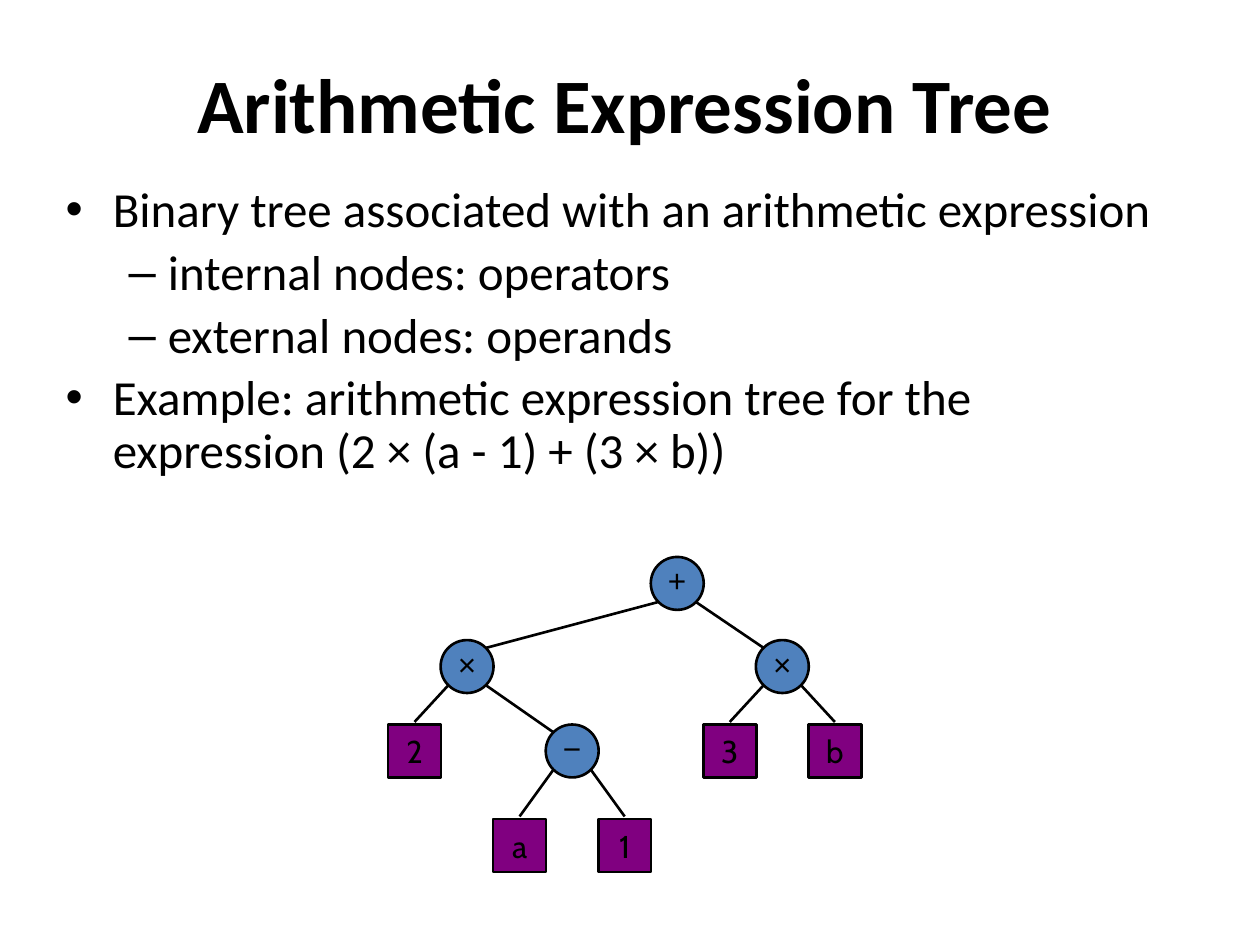
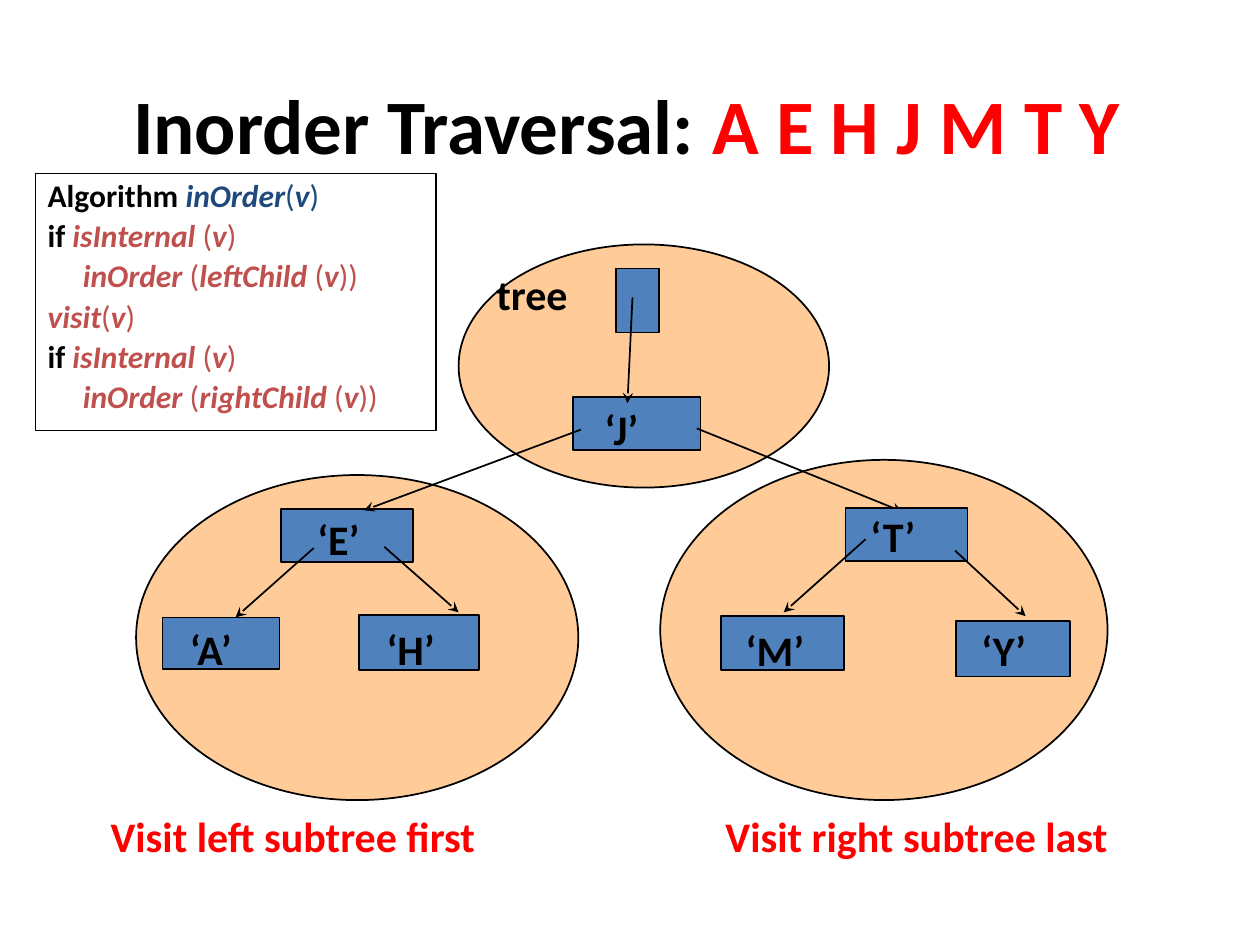
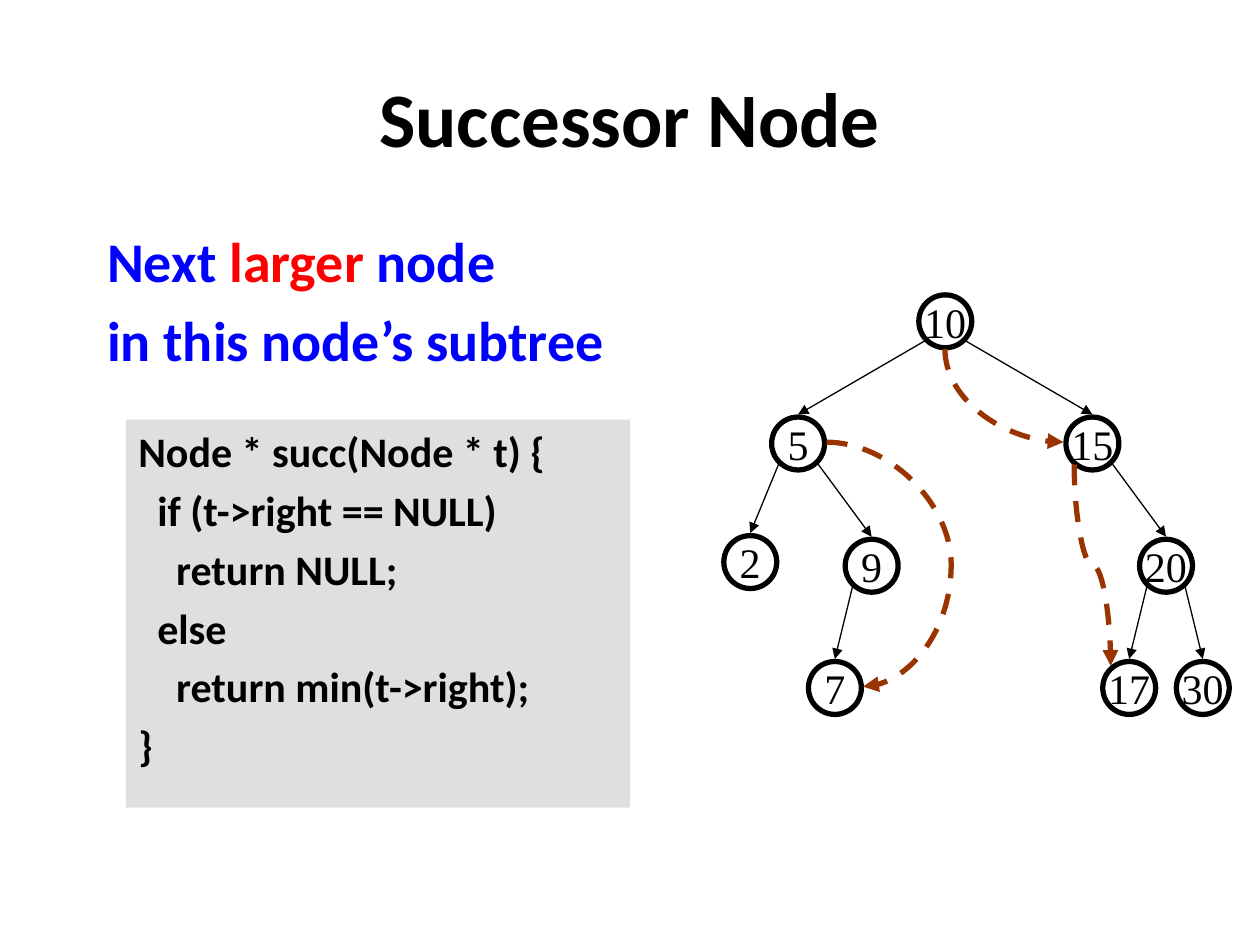
from lxml import etree
from pptx import Presentation, util as u
from pptx.dml.color import RGBColor
from pptx.enum import dml, shapes, text
from pptx.oxml.ns import qn

COLORS = {
    "black": "000000", "red": "FF0000", "blue": "0000FF", "navy": "1F497D",
    "brick": "C0504D", "steel": "4F81BD", "purple": "800080",
    "peach": "FFCC99", "silver": "C0C0C0", "rust": "993300",
}
RECT, OVAL = shapes.MSO_SHAPE.RECTANGLE, shapes.MSO_SHAPE.OVAL
STRAIGHT, CURVE = shapes.MSO_CONNECTOR.STRAIGHT, shapes.MSO_CONNECTOR.CURVE
CENTER, LEFT = text.PP_ALIGN.CENTER, text.PP_ALIGN.LEFT
TOP, MIDDLE, BOTTOM = (text.MSO_ANCHOR.TOP, text.MSO_ANCHOR.MIDDLE,
                       text.MSO_ANCHOR.BOTTOM)


def write(tf, paras, size=24, font="Calibri", color="black", style="",
          align=LEFT, anchor=TOP, wrap=True, margins=(0.05, 0.05),
          before=None, leading=None, levels=None, indents=None):
    """Fill a frame; a paragraph is a string or a list of (text, color, style)."""
    tf.auto_size = text.MSO_AUTO_SIZE.NONE
    tf.word_wrap, tf.vertical_anchor = wrap, anchor
    tf.margin_top, tf.margin_bottom = map(u.Inches, margins)
    for i, para in enumerate(paras):
        p = tf.add_paragraph() if i else tf.paragraphs[0]
        p.alignment, p.line_spacing = align, leading
        if before is not None:
            p.space_before = u.Pt(before)
        if levels:
            p.level = levels[i]
        if indents:
            pPr = p._p.get_or_add_pPr()
            pPr.set("marL", str(u.Inches(indents[i])))
            pPr.set("indent", "0")
            etree.SubElement(pPr, qn("a:buNone"))
        runs = [(para, color, style)] if isinstance(para, str) else para
        for words, run_color, run_style in runs:
            r = p.add_run()
            r.text = words
            r.font.size, r.font.name = u.Pt(size), font
            r.font.bold, r.font.italic = "b" in run_style, "i" in run_style
            r.font.color.rgb = RGBColor.from_string(COLORS[run_color])


def paint(sp, width, line="black", fill=None, arrow=None):
    """Set outline, fill and arrowhead of a shape or connector, without shadow."""
    if fill:
        sp.fill.solid()
        sp.fill.fore_color.rgb = RGBColor.from_string(COLORS[fill])
    elif hasattr(sp, "fill"):
        sp.fill.background()
    if width:
        sp.line.width = u.Pt(width)
        sp.line.color.rgb = RGBColor.from_string(COLORS[line])
    else:
        sp.line.fill.background()
    if arrow:
        etree.SubElement(sp.line._get_or_add_ln(), qn("a:tailEnd"), type=arrow)
    etree.SubElement(sp.element.spPr, qn("a:effectLst"))
    return sp


prs = Presentation()
prs.slide_width, prs.slide_height = u.Inches(10), u.Inches(7.5)
CONTENT, TITLE_ONLY = prs.slide_layouts[1], prs.slide_layouts[5]

# Slides and titles
titles = [
    (CONTENT, (0.46, 0.33, 9, 0.97), MIDDLE, ["Arithmetic Expression Tree"]),
    (TITLE_ONLY, (0.32, 0.48, 9.31, 0.92), BOTTOM,
     [[("Inorder Traversal: ", "black", "b"), ("A E H J M T Y", "red", "b")]]),
    (CONTENT, (0.5, 0.3, 9, 1.25), MIDDLE, ["Successor Node"]),
]
for layout, box, anchor, words in titles:
    s = prs.slides.add_slide(layout)
    title = s.shapes.title
    title.left, title.top, title.width, title.height = map(u.Inches, box)
    write(title.text_frame, words, size=44, style="b", align=CENTER, anchor=anchor)
expression, traversal, successor = prs.slides

# Body lists
body = expression.placeholders[1]
body.left, body.top, body.width, body.height = map(u.Inches, (0.42, 1.42, 9, 2.58))
write(body.text_frame, [
    "Binary tree associated with an arithmetic expression",
    "internal nodes: operators",
    "external nodes: operands",
    "Example: arithmetic expression tree for the expression (2 × (a - 1) + (3 × b))",
], size=28, leading=0.9, levels=[0, 1, 1, 0])

body = successor.placeholders[1]
body.left, body.top, body.width, body.height = map(u.Inches, (0.75, 1.75, 5.42, 1.5))
write(body.text_frame, [
    [("Next ", "blue", "b"), ("larger", "red", "b"), (" node", "blue", "b")],
    "in this node’s subtree",
], size=32, color="blue", style="b", indents=[0, 0])

# Both node trees: label -> column, row, left child, right child
NODE = 0.42
expression_tree = {
    "root": ("+", 5, 0, "left", "right"),
    "right": ("×", 7, 1, "3", "b"),
    "left": ("×", 1, 1, "2", "minus"),
    "minus": ("−", 3, 2, "a", "1"),
    "2": ("2", 0, 2, None, None),
    "a": ("a", 2, 3, None, None),
    "1": ("1", 4, 3, None, None),
    "3": ("3", 6, 2, None, None),
    "b": ("b", 8, 2, None, None),
}
search_tree = {
    "10": ("10", 6, 0, "5", "15"),
    "5": ("5", 2, 1, "2", "9"),
    "15": ("15", 10, 1, None, "20"),
    "2": ("2", 0.7, 1.97, None, None),
    "9": ("9", 4, 2, "7", None),
    "20": ("20", 12, 2, "17", "30"),
    "7": ("7", 3, 3, None, None),
    "17": ("17", 11, 3, None, None),
    "30": ("30", 13, 3, None, None),
}
NEAR, FAR = 0.15, 0.85  # where a circle meets its diagonals
for s, tree, left, col_step, tops in [
    (expression, expression_tree, 3.08, 0.417, [4.42, 5.08, 5.75, 6.5]),
    (successor, search_tree, 5.54, 0.292, None),
]:
    searching = tree is search_tree
    corner = {}
    for key, (label, col, row, *kids) in tree.items():
        x, y = left + col * col_step, tops[row] if tops else 2.34 + row * 0.97
        corner[key] = x, y
        operator = any(kids)
        sp = s.shapes.add_shape(OVAL if searching or operator else RECT,
                                *map(u.Inches, (x, y, NODE, NODE)))
        look = dict(align=CENTER, anchor=MIDDLE, wrap=False)
        if searching:
            paint(sp, 3)
            look.update(font="Times New Roman", size=24)
        elif operator:
            paint(sp, 1.5, fill="steel")
            look.update(font="Arial", size=18, margins=(0, 0.05))
        else:
            paint(sp, 1.5, fill="purple")
            look.update(font="Cabin", size=18)
        write(sp.text_frame, [label], **look)
    for key, (label, col, row, *kids) in tree.items():
        for kid, start, end in zip(kids, (NEAR, FAR), (FAR, NEAR)):
            if not kid:
                continue
            to_circle = not searching and any(tree[kid][3:])
            (x1, y1), (x2, y2) = corner[key], corner[kid]
            ends = (x1 + start * NODE, y1 + FAR * NODE,
                    x2 + (end if to_circle else 0.5) * NODE,
                    y2 + (NEAR * NODE if to_circle else -0.02))
            link = s.shapes.add_connector(STRAIGHT, *map(u.Inches, ends))
            paint(link, 0.75 if searching else 1.5,
                  arrow="triangle" if searching else None)

# Traversal: subtrees, then each box with its label and outgoing arrows
for box in [(5.24, 3.65, 3.55, 2.7), (3.64, 1.94, 2.94, 1.93), (1.08, 3.77, 3.51, 2.58)]:
    paint(traversal.shapes.add_shape(OVAL, *map(u.Inches, box)), 1, fill="peach")

boxes = [
    ("‘A’", (1.29, 4.9, 0.93, 0.41), (1.41, 4.9, 0.63, 0.5), []),
    ("‘H’", (2.85, 4.88, 0.95, 0.44), (2.97, 4.9, 0.63, 0.5), []),
    ("‘E’", (2.23, 4.04, 1.05, 0.42), (2.42, 4.03, 0.63, 0.5),
     [(2.49, 4.35, 1.87, 4.9), (3.05, 4.34, 3.64, 4.86)]),
    ("‘J’", (4.55, 3.15, 1.01, 0.42), (4.7, 3.15, 0.57, 0.5),
     [(4.61, 3.41, 2.89, 4.05), (5.53, 3.4, 7.16, 4.06)]),
    ("‘M’", (5.72, 4.89, 0.98, 0.43), (5.82, 4.91, 0.69, 0.5), []),
    ("‘Y’", (7.59, 4.93, 0.9, 0.44), (7.69, 4.91, 0.61, 0.5), []),
    ("‘T’", (6.71, 4.03, 0.97, 0.42), (6.81, 4, 0.59, 0.5),
     [(6.87, 4.28, 6.22, 4.86), (7.58, 4.37, 8.14, 4.89)]),
    ("tree", (4.89, 2.13, 0.34, 0.51), (3.84, 2.08, 0.82, 0.5),
     [(5.02, 2.36, 4.98, 3.2)]),
]
for label, box, label_box, arrows in boxes:
    paint(traversal.shapes.add_shape(RECT, *map(u.Inches, box)), 1, fill="steel")
    for ends in arrows:
        link = traversal.shapes.add_connector(STRAIGHT, *map(u.Inches, ends))
        paint(link, 1, arrow="stealth")
    sp = traversal.shapes.add_textbox(*map(u.Inches, label_box))
    write(sp.text_frame, [label], style="b")

for caption, x, width in [("Visit left subtree first", 0.78, 3.14),
                          ("Visit right subtree last", 5.66, 3.27)]:
    sp = traversal.shapes.add_textbox(*map(u.Inches, (x, 6.38, width, 0.51)))
    write(sp.text_frame, [caption], color="red", style="b")

# Algorithm: names and brackets alternate after the keyword
algorithm = [
    (0, "Algorithm ", "navy", ["inOrder", "(", "v", ")"]),
    (0, "if ", "brick", ["isInternal ", "(", "v", ")"]),
    (0.28, "", "brick", ["inOrder ", "(", "leftChild ", "(", "v", "))"]),
    (0, "", "brick", ["visit", "(", "v", ")"]),
    (0, "if ", "brick", ["isInternal ", "(", "v", ")"]),
    (0.28, "", "brick", ["inOrder ", "(", "rightChild ", "(", "v", "))"]),
]
lines = []
for indent, keyword, color, parts in algorithm:
    runs = [(keyword, "black", "b")] if keyword else []
    lines.append(runs + [(part, color, "" if i % 2 else "bi")
                         for i, part in enumerate(parts)])
sp = traversal.shapes.add_shape(RECT, *map(u.Inches, (0.28, 1.38, 3.18, 2.04)))
paint(sp, 0.75)
write(sp.text_frame, lines, size=18, before=3.6, leading=0.9,
      indents=[row[0] for row in algorithm])

# Successor: dashed curves from a node to its successor
for preset, (x, y, w, h), turn, adjust in [
    ("curvedConnector2", (7.6, 2.67, 0.74, 0.94), True, None),
    ("curvedConnector3", (6.56, 3.51, 0.29, 1.94), False, 3.41),
    ("curvedConnector3", (7.87, 4.34, 1.6, 0.29), True, 0.5),
]:
    link = successor.shapes.add_connector(CURVE, *map(u.Inches, (x, y, x + w, y + h)))
    link.line.dash_style = dml.MSO_LINE.DASH
    paint(link, 3, line="rust", arrow="triangle")
    spPr = link.element.spPr
    if turn:
        xfrm = spPr.find(qn("a:xfrm"))
        xfrm.set("rot", str(270 * 60000))
        xfrm.set("flipH", "1")
    geom = spPr.find(qn("a:prstGeom"))
    geom.set("prst", preset)
    if adjust:
        etree.SubElement(geom.find(qn("a:avLst")), qn("a:gd"), name="adj1",
                         fmla=f"val {round(adjust * 100000)}")

code = [
    (0, "Node * succ(Node * t) {"),
    (1, "if (t->right == NULL)"),
    (2, "return NULL;"),
    (1, "else"),
    (2, "return min(t->right);"),
    (0, "}"),
]
sp = successor.shapes.add_shape(RECT, *map(u.Inches, (1, 3.33, 4, 3.08)))
paint(sp, None, fill="silver")
tint = sp.element.spPr.find(qn("a:solidFill")).find(qn("a:srgbClr"))
etree.SubElement(tint, qn("a:alpha"), val="50000")
write(sp.text_frame, [words for depth, words in code], style="b", before=4.8,
      indents=[0.15 * depth for depth, words in code])

prs.save("out.pptx")
